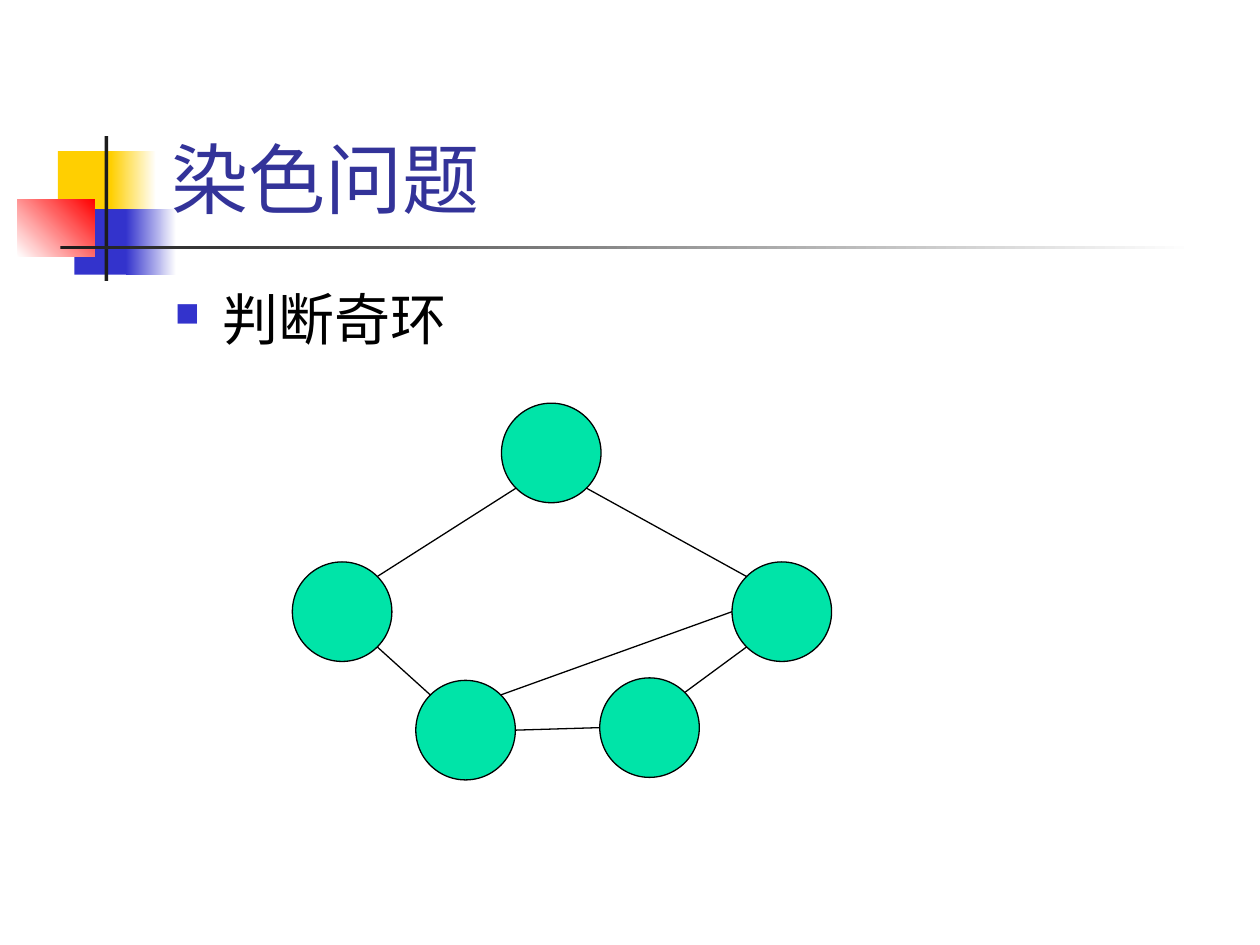
from math import cos, radians, sin

from lxml.etree import SubElement
from pptx import Presentation
from pptx.dml.color import RGBColor
from pptx.enum.shapes import MSO_CONNECTOR, MSO_SHAPE
from pptx.enum.text import MSO_ANCHOR
from pptx.oxml.ns import qn
from pptx.util import Inches, Pt

COLS, ROWS = 10, 7.5
YELLOW, BLUE, RED, DARK, WHITE = "FFCF01", "3333CC", "FF0000", "1C1C1C", "FFFFFF"
BLACK, NAVY, GREEN = "000000", "333399", "00E4A8"

# Each block: left, top, width, height, colours, gradient angle
MOTIF = [
    (0.46, 1.2, 0.48, 0.52, [YELLOW], 0),
    (0.88, 1.2, 0.36, 0.52, [YELLOW, WHITE], 0),
    (0.59, 1.66, 0.46, 0.52, [BLUE], 0),
    (1, 1.66, 0.4, 0.52, [BLUE, WHITE], 0),
    (0.14, 1.58, 0.61, 0.46, [WHITE, RED], 45),
    (0.83, 1.08, 0.03, 1.15, [DARK], 0),
    (0.48, 1.95, 9, 0.03, [DARK, WHITE], 0),
]

DIAMETER = 0.79
NODES = {  # left and top of each circle
    "top": (3.98, 3.2),
    "left": (2.32, 4.46),
    "lower left": (3.3, 5.4),
    "lower right": (4.76, 5.38),
    "right": (5.81, 4.46),
}
EDGES = [  # node and angle on its rim, counterclockwise from the right
    ("top", 225, "left", 45),
    ("left", 315, "lower left", 135),
    ("lower left", 0, "lower right", 180),
    ("lower right", 45, "right", 225),
    ("top", 315, "right", 135),
    ("lower left", 45, "right", 180),
]


def color(value):
    return RGBColor.from_string(value)


def rim(node, angle):
    """Return the point of a node's circle at the given angle in degrees."""
    left, top = NODES[node]
    radius = DIAMETER / 2
    a = radians(angle)
    return left + radius * (1 + cos(a)), top + radius * (1 - sin(a))


class Canvas:
    """Draws on one slide, measured in cells of a COLS by ROWS grid."""

    font = "Lato"
    line_width = Pt(0.75)

    def __init__(self, prs):
        self.cell_w = prs.slide_width / COLS
        self.cell_h = prs.slide_height / ROWS
        self.slide = prs.slides.add_slide(prs.slide_layouts[6])

    def place(self, x, y):
        return round(x * self.cell_w), round(y * self.cell_h)

    def shape(self, kind, x, y, w, h):
        sp = self.slide.shapes.add_shape(kind, *self.place(x, y), *self.place(w, h))
        sp.shadow.inherit = False
        return sp

    def block(self, x, y, w, h, colors, angle):
        sp = self.shape(MSO_SHAPE.RECTANGLE, x, y, w, h)
        sp.line.fill.background()
        if len(colors) == 1:
            sp.fill.solid()
            sp.fill.fore_color.rgb = color(colors[0])
            return
        sp.fill.gradient()
        sp.fill.gradient_angle = angle
        for stop, value in zip(sp.fill.gradient_stops, colors):
            stop.color.rgb = color(value)

    def circle(self, x, y):
        sp = self.shape(MSO_SHAPE.OVAL, x, y, DIAMETER, DIAMETER)
        sp.fill.solid()
        sp.fill.fore_color.rgb = color(GREEN)
        self.outline(sp)

    def edge(self, start, end):
        cxn = self.slide.shapes.add_connector(
            MSO_CONNECTOR.STRAIGHT, *self.place(*start), *self.place(*end))
        self.outline(cxn)
        SubElement(cxn._element.spPr, qn("a:effectLst"))

    def outline(self, sp):
        sp.line.color.rgb = color(BLACK)
        sp.line.width = self.line_width

    def text(self, x, y, w, h, words, size, ink, anchor=MSO_ANCHOR.TOP):
        box = self.slide.shapes.add_textbox(*self.place(x, y), *self.place(w, h))
        tf = box.text_frame
        for name, value in {"word_wrap": True, "vertical_anchor": anchor}.items():
            setattr(tf, name, value)
        p = tf.paragraphs[0]
        r = p.add_run()
        r.text = words
        for name, value in {"name": self.font, "size": Pt(size)}.items():
            setattr(r.font, name, value)
        r.font.color.rgb = color(ink)
        return p

    def bullet(self, p, char, ink, percent, indent):
        p.space_before = Pt(6.4)
        pPr = p._p.get_or_add_pPr()
        pPr.set("marL", str(Inches(indent)))
        pPr.set("indent", str(-Inches(indent)))
        clr = SubElement(pPr, qn("a:buClr"))
        SubElement(clr, qn("a:srgbClr"), val=ink)
        SubElement(pPr, qn("a:buSzPct"), val=str(percent * 1000))
        SubElement(pPr, qn("a:buChar"), char=char)


def main():
    prs = Presentation()
    prs.slide_width, prs.slide_height = Inches(10), Inches(7.5)
    s = Canvas(prs)
    for block in MOTIF:
        s.block(*block)
    s.text(1.26, 0.23, 8.52, 1.6, "染色问题", 44, NAVY, MSO_ANCHOR.BOTTOM)
    p = s.text(1.29, 2.21, 8.5, 4.5, "判断奇环", 32, BLACK)
    s.bullet(p, "■", BLUE, 60, 0.38)
    for corner in NODES.values():
        s.circle(*corner)
    for start, start_angle, end, end_angle in EDGES:
        s.edge(rim(start, start_angle), rim(end, end_angle))
    prs.save("out.pptx")


if __name__ == "__main__":
    main()
